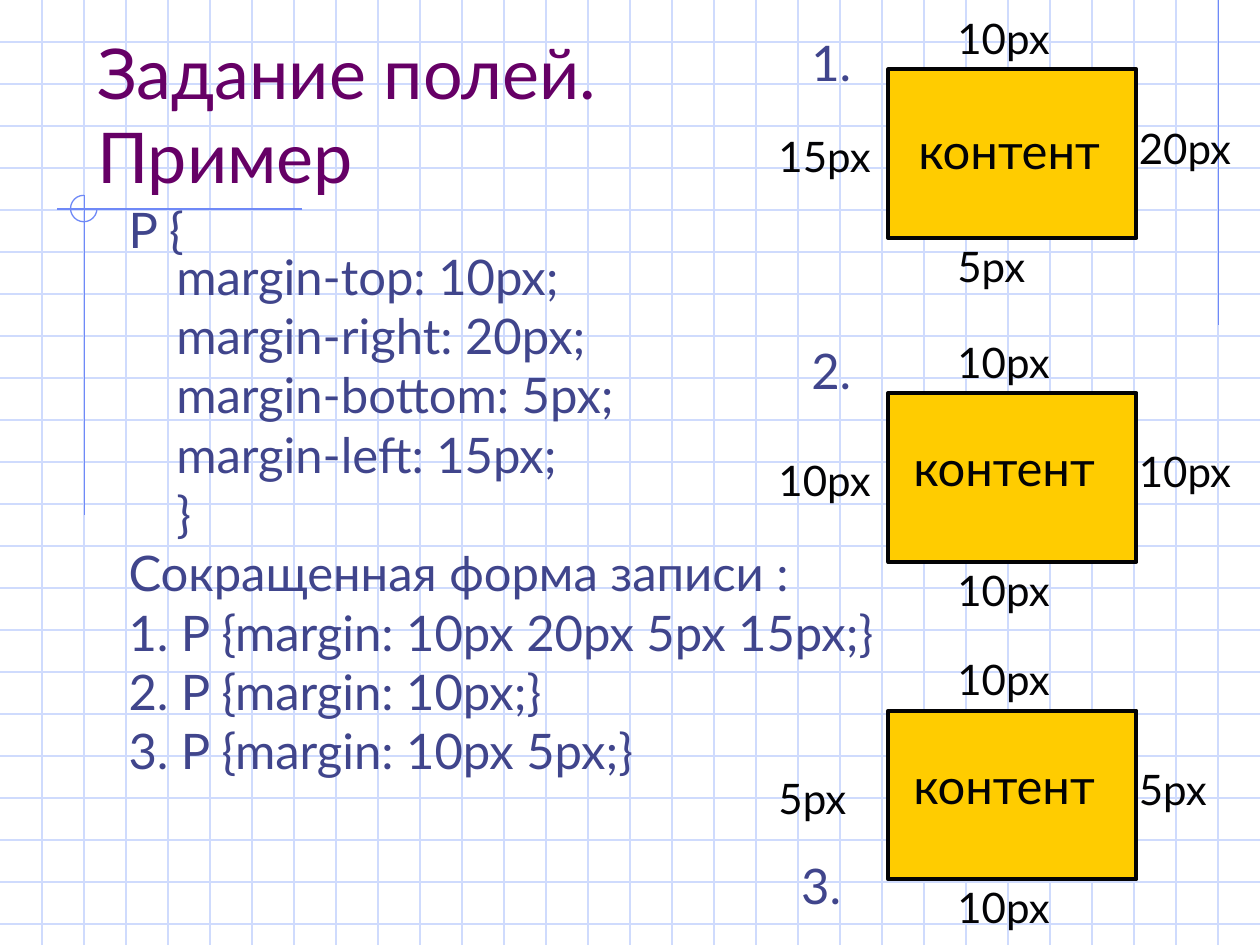
from lxml.etree import SubElement
from pptx import Presentation
from pptx.dml.color import RGBColor
from pptx.enum.shapes import MSO_CONNECTOR, MSO_SHAPE
from pptx.enum.text import MSO_ANCHOR as ANCHOR, MSO_AUTO_SIZE as FIT, PP_ALIGN as ALIGN
from pptx.oxml.ns import qn
from pptx.util import Inches, Pt

INK = "030305"
BLUE = "40458C"
PURPLE = "660066"
GRID = "CFDBFD"
ACCENT = "6F89F7"
YELLOW = "FFCC00"
rgb = RGBColor.from_string


def place(shape, left, top, width, height):
    shape.left, shape.top = Inches(left), Inches(top)
    shape.width, shape.height = Inches(width), Inches(height)
    return shape


def write(paragraph, text, size=24, color=INK, spacing=None, before=0, margin=0, indent=0):
    props = paragraph._p.get_or_add_pPr()
    props.set("marL", str(Inches(margin)))
    props.set("indent", str(Inches(indent)))
    SubElement(props, qn("a:buNone"))
    paragraph.alignment = ALIGN.LEFT
    paragraph.line_spacing = spacing
    paragraph.space_before = Pt(before)
    paragraph.text = text
    for line_break in paragraph._p.findall(qn("a:br")):
        SubElement(line_break, qn("a:rPr"), sz=str(size * 100))
    for run in paragraph.runs:
        run.font.name = "Lato"
        run.font.size = Pt(size)
        run.font.color.rgb = rgb(color)


prs = Presentation()
prs.slide_width, prs.slide_height = Inches(10), Inches(7.5)
slide = prs.slides.add_slide(prs.slide_layouts[1])
shapes = slide.shapes
title, body = slide.placeholders

rules = [(0, i / 3, 10, i / 3, GRID) for i in range(1, 23)]
rules += [(i / 3, 0, i / 3, 7.5, GRID) for i in range(1, 30)]
rules += [
    (9.67, 0, 9.67, 2.58, ACCENT),
    (2.4, 1.66, 0.45, 1.66, ACCENT),
    (0.67, 1.55, 0.67, 4.09, ACCENT),
]
for x1, y1, x2, y2, color in rules:
    rule = shapes.add_connector(
        MSO_CONNECTOR.STRAIGHT, Inches(x1), Inches(y1), Inches(x2), Inches(y2)
    )
    rule.line.color.rgb = rgb(color)
    rule.line.width = Pt(0.75)
    SubElement(rule._element.spPr, qn("a:effectLst"))

corner = shapes.add_shape(MSO_SHAPE.ARC, Inches(0.56), Inches(1.55), Inches(0.21), Inches(0.21))
corner.adjustments[0] = 0
corner.adjustments[1] = 162
corner.shadow.inherit = False
corner.fill.background()
corner.line.color.rgb = rgb(ACCENT)
corner.line.width = Pt(0.75)

for holder in (title, body):
    shapes._spTree.append(holder._element)
    holder.text_frame.auto_size = FIT.NONE
    holder.text_frame.word_wrap = True

place(title, 0.67, 0.37, 8.5, 1.25)
title.text_frame.vertical_anchor = ANCHOR.BOTTOM
write(title.text_frame.paragraphs[0], "Задание полей. \vПример", size=40, color=PURPLE)

place(body, 0.92, 1.62, 6.45, 5.88)
body.text_frame.vertical_anchor = ANCHOR.TOP
code_lines = [
    ("P {\vmargin-top: 10px;", -0.38),
    ("margin-right: 20px;", 0),
    ("margin-bottom: 5px;", 0),
    ("margin-left: 15px;", 0),
    ("}", 0),
    ("Сокращенная форма записи :", -0.38),
    ("1. P {margin: 10px 20px 5px 15px;}", -0.38),
    ("2. P {margin: 10px;}", -0.38),
    ("3. P {margin: 10px 5px;}", -0.38),
]
for i, (code, indent) in enumerate(code_lines):
    paragraph = body.text_frame.add_paragraph() if i else body.text_frame.paragraphs[0]
    write(paragraph, code, size=28, color=BLUE, spacing=0.8,
          before=7 if i else 0, margin=0.38, indent=indent)

examples = [
    (0.55, ("10px", "20px", "5px", "15px"), ("1.", 6.34, 0.21), (7.19, 0.91)),
    (3.12, ("10px", "10px", "10px", "10px"), ("2.", 6.34, 2.65), (7.15, 3.42)),
    (5.64, ("10px", "5px", "10px", "5px"), ("3.", 6.26, 6.74), (7.15, 5.95)),
]
sides = [(7.5, -0.5), (8.94, 0.37), (7.5, 1.31), (6.08, 0.44)]
labels = []
for top, margins, (number, number_x, number_y), (content_x, content_y) in examples:
    box = shapes.add_shape(MSO_SHAPE.RECTANGLE, Inches(7.05), Inches(top), Inches(1.97), Inches(1.34))
    box.shadow.inherit = False
    box.fill.solid()
    box.fill.fore_color.rgb = rgb(YELLOW)
    box.line.color.rgb = rgb(INK)
    box.line.width = Pt(2.25)
    for value, (x, offset) in zip(margins, sides):
        labels.append((value, x, top + offset, 0.96 if len(value) == 4 else 0.77, 0.5, 24, INK))
    labels.append((number, number_x, number_y, 0.52, 0.57, 28, BLUE))
    labels.append(("контент", content_x, content_y, 1.72, 0.57, 28, INK))

for text, x, y, width, height, size, color in labels:
    label = place(shapes.add_textbox(0, 0, 0, 0), x, y, width, height)
    label.text_frame.word_wrap = False
    write(label.text_frame.paragraphs[0], text, size=size, color=color)

prs.save("out.pptx")
